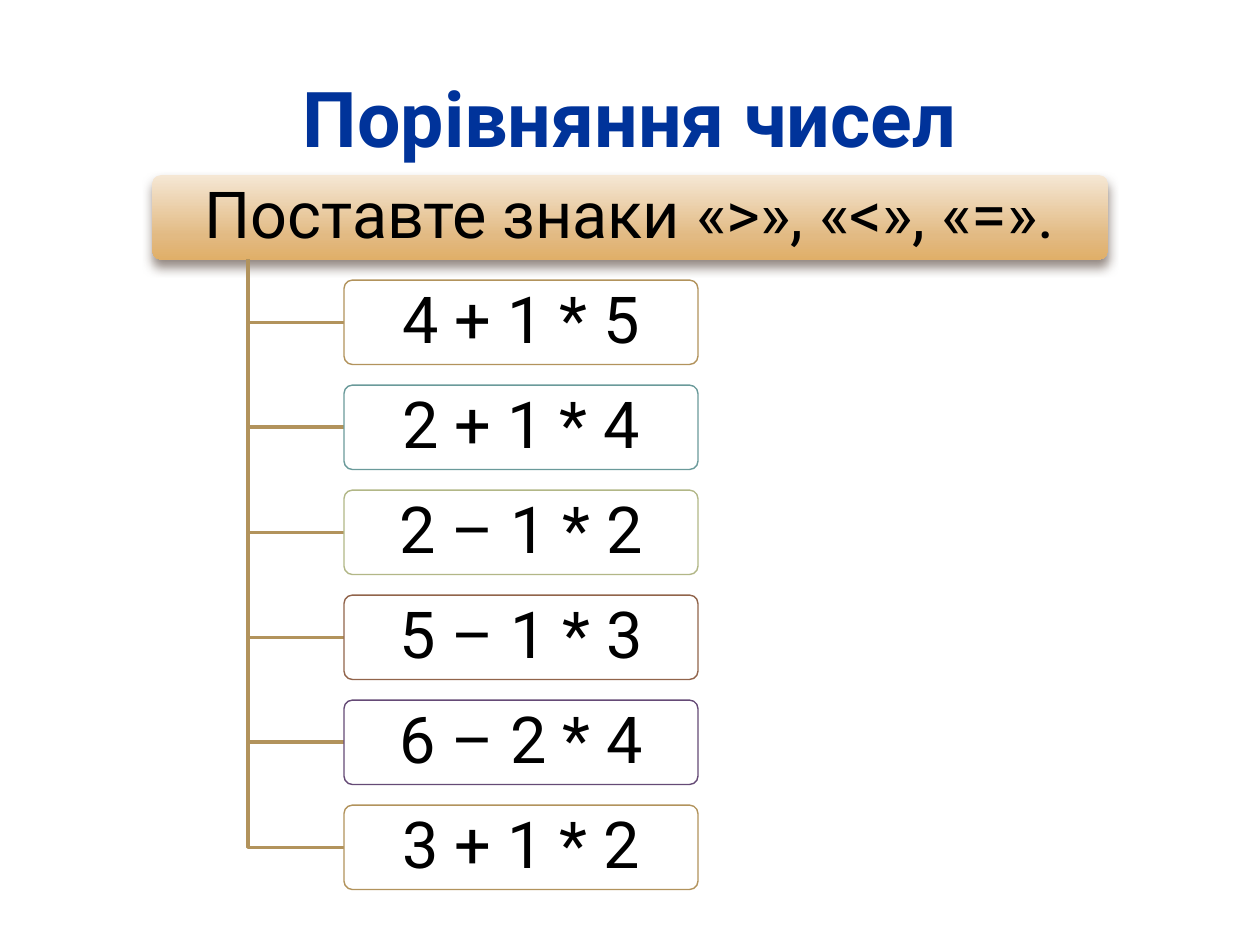
from lxml.etree import SubElement
from pptx import Presentation
from pptx.dml.color import RGBColor
from pptx.enum.shapes import MSO_SHAPE
from pptx.enum.text import MSO_ANCHOR, PP_ALIGN
from pptx.oxml import parse_xml
from pptx.oxml.ns import nsdecls, qn
from pptx.util import Inches, Pt

FONT = "Roboto"
COLORS = {
    "title": "00339A", "outline": "F2F2F2", "text": "000000",
    "white": "FFFFFF", "shadow": "4E3B30",
    "gold": "B2935C", "teal": "6A9A9A", "olive": "B2B787",
    "brown": "91644B", "violet": "654A76",
}
HEADER_STOPS = [(0, "F5E7D4"), (72, "E2BA83"), (100, "E0AF68")]
TASKS = [
    ("4 + 1 * 5", "gold"), ("2 + 1 * 4", "teal"), ("2 – 1 * 2", "olive"),
    ("5 – 1 * 3", "brown"), ("6 – 2 * 4", "violet"), ("3 + 1 * 2", "gold"),
]

# Tree geometry, in inches
HEADER_X, HEADER_Y, HEADER_W = 1.21, 1.39, 7.58
BOX_X, BOX_W, BOX_H = 2.73, 2.81, 0.67
TRUNK_X = 1.97
STEP = 2.5 / 3


def rgb(name):
    return RGBColor.from_string(COLORS[name])


def set_text(tf, text, size, color, bold=False, **frame):
    settings = {"word_wrap": True, "vertical_anchor": MSO_ANCHOR.MIDDLE, **frame}
    for key, value in settings.items():
        setattr(tf, key, value)
    p = tf.paragraphs[0]
    p.alignment = PP_ALIGN.CENTER
    r = p.add_run()
    r.text = text
    for key, value in {"name": FONT, "size": Pt(size), "bold": bold}.items():
        setattr(r.font, key, value)
    r.font.color.rgb = rgb(color)
    return p


def add_title(slide, text):
    title = slide.shapes.title
    box = {"left": 0.5, "top": 0.3, "width": 9, "height": 1.25}
    for key, value in box.items():
        setattr(title, key, Inches(value))
    p = set_text(title.text_frame, text, 44, "title", bold=True)
    # Thin outline around the letters
    p.runs[0].font._element.insert(0, parse_xml(
        f'<a:ln {nsdecls("a")} w="{Pt(0.15)}"><a:solidFill>'
        f'<a:srgbClr val="{COLORS["outline"]}"/></a:solidFill></a:ln>'))


def add_box(slide, x, y, w, text):
    sp = slide.shapes.add_shape(MSO_SHAPE.ROUNDED_RECTANGLE, Inches(x), Inches(y),
                                Inches(w), Inches(BOX_H))
    sp.adjustments[0] = 0.1
    sp.shadow.inherit = False
    p = set_text(sp.text_frame, text, 37, "text",
                 margin_left=Inches(0.1), margin_right=Inches(0.1),
                 margin_top=Inches(0.07), margin_bottom=Inches(0.07))
    p.line_spacing = 0.9
    return sp


def add_header(slide, text):
    sp = add_box(slide, HEADER_X, HEADER_Y, HEADER_W, text)
    sp.line.fill.background()
    # Three-stop gradient from top to bottom
    sp.fill.gradient()
    sp.fill.gradient_angle = 270
    spPr = sp._element.spPr
    stops = spPr.find(qn("a:gradFill")).find(qn("a:gsLst"))
    for gs in list(stops):
        stops.remove(gs)
    for position, color in HEADER_STOPS:
        gs = SubElement(stops, qn("a:gs"), pos=str(position * 1000))
        SubElement(gs, qn("a:srgbClr"), val=color)
    # Soft shadow below
    shadow = SubElement(spPr.find(qn("a:effectLst")), qn("a:outerShdw"),
                        blurRad=str(Pt(6)), dist=str(Pt(4)), dir="5400000",
                        rotWithShape="0")
    color = SubElement(shadow, qn("a:srgbClr"), val=COLORS["shadow"])
    SubElement(color, qn("a:alpha"), val="60000")


def add_task(slide, y, text, color):
    sp = add_box(slide, BOX_X, y, BOX_W, text)
    sp.fill.solid()
    sp.fill.fore_color.rgb = rgb("white")
    fill = sp._element.spPr.find(qn("a:solidFill"))
    SubElement(fill[0], qn("a:alpha"), val="90000")
    sp.line.color.rgb = rgb(color)
    sp.line.width = Pt(0.79)


def add_branch(slide, y):
    start = Inches(TRUNK_X), Inches(HEADER_Y + BOX_H)
    builder = slide.shapes.build_freeform(*start)
    builder.add_line_segments([(Inches(TRUNK_X), Inches(y)),
                               (Inches(BOX_X), Inches(y))], close=False)
    sp = builder.convert_to_shape()
    sp.shadow.inherit = False
    sp.fill.background()
    sp.line.color.rgb = rgb("gold")
    sp.line.width = Pt(2)


def main():
    prs = Presentation()
    prs.slide_width, prs.slide_height = Inches(10), Inches(7.5)
    slide = prs.slides.add_slide(prs.slide_layouts[5])
    add_title(slide, "Порівняння чисел")
    add_header(slide, "Поставте знаки «>», «<», «=».")
    for i, (text, color) in enumerate(TASKS, start=1):
        y = HEADER_Y + i * STEP
        add_branch(slide, y + BOX_H / 2)
        add_task(slide, y, text, color)
    prs.save("out.pptx")


if __name__ == "__main__":
    main()
